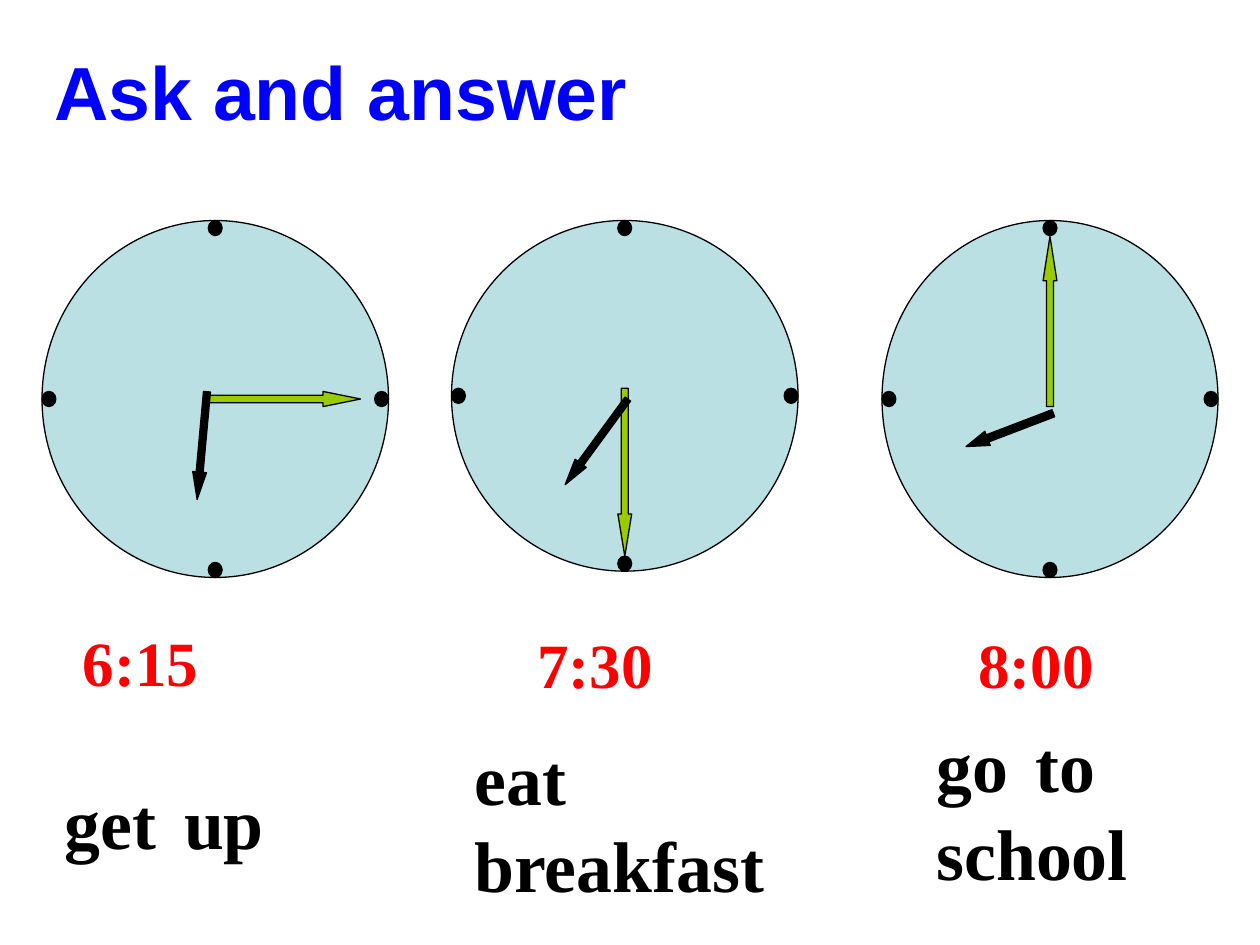
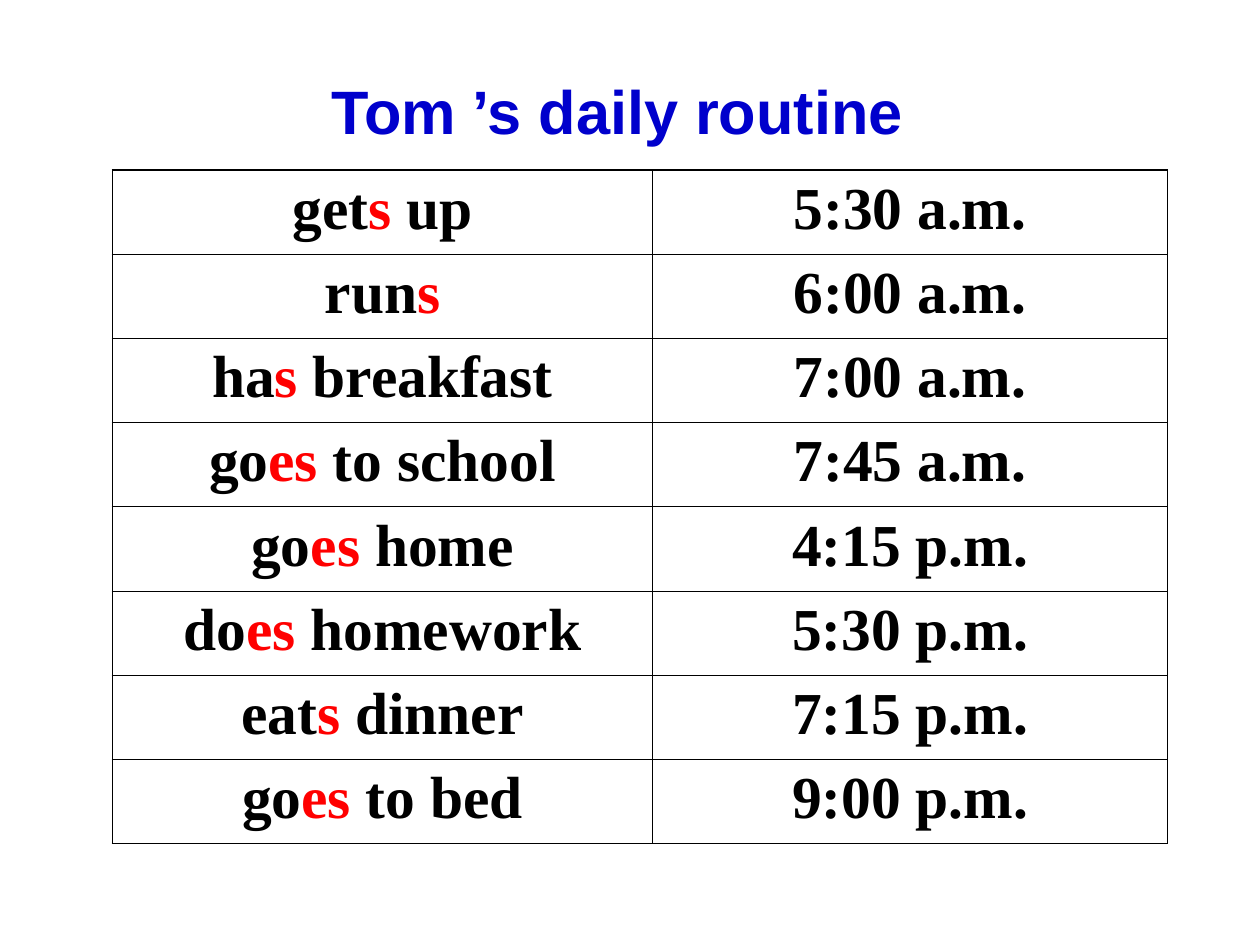
from dataclasses import dataclass
from math import cos, radians, sin
from typing import NamedTuple

from lxml.etree import SubElement
from pptx import Presentation
from pptx.dml.color import RGBColor
from pptx.enum.shapes import MSO_SHAPE
from pptx.enum.text import MSO_ANCHOR, MSO_AUTO_SIZE, PP_ALIGN
from pptx.oxml.ns import qn
from pptx.util import Inches, Pt

COLS, ROWS = 120, 90
SLIDE_W, SLIDE_H = Inches(10), Inches(7.5)
BLACK, RED, BLUE, NAVY = "000000", "FF0000", "0000FF", "0000CC"
FACE, MINUTE_FILL = "BBE0E3", "99CC00"
SERIF, SANS, COMIC = "Times New Roman", "Arial", "Comic Neue"
DOT_W, DOT_H = 1.32, 1.44
OUTER, INNER = 1.08, 0.45


class Run(NamedTuple):
    text: str
    size: float
    font: str
    color: str = BLACK


class Box(NamedTuple):
    x: float
    y: float
    w: float
    h: float


class Hand(NamedTuple):
    length: float
    thickness: float
    head: float


@dataclass
class Clock:
    hour: int
    minute: int
    face: Box
    minute_hand: Hand
    hour_hand: Hand
    hour_angle: float
    hour_offset: tuple[float, float]
    time_box: Box
    activity: str
    activity_box: Box


CLOCKS = [
    Clock(6, 15, Box(4, 21, 33, 34), Hand(14.5, 1.44, 2.48), Hand(10.3, 1.32, 1.98),
          95.2, (-1.26, 4.44), Box(6.7, 58.8, 24, 8.4), "get up", Box(5, 73, 32, 10)),
    Clock(7, 30, Box(43, 21, 33, 33.4), Hand(16, 1.32, 3.06), Hand(10.1, 1.32, 1.9),
          126.2, (-2.7, 4.38), Box(50, 59, 26, 8.4), "eat breakfast", Box(44, 68.8, 33.7, 18.2)),
    Clock(8, 0, Box(84, 21, 32, 34), Hand(16.2, 1.32, 3.19), Hand(8.9, 1.44, 1.52),
          159.1, (-3.84, 2.94), Box(92, 59, 21, 8.4), "go to school", Box(88, 67.6, 26, 18.2)),
]

ROUTINE = [
    ("get", "s", " up", "5:30 a.m."),
    ("run", "s", "", "6:00 a.m."),
    ("ha", "s", " breakfast", "7:00 a.m."),
    ("go", "es ", "to school", "7:45 a.m."),
    ("go", "es", " home", "4:15 p.m."),
    ("do", "es", " homework", "5:30 p.m."),
    ("eat", "s", " dinner", "7:15 p.m."),
    ("go", "es", " to bed", "9:00 p.m."),
]


def across(cols: float) -> int:
    return round(SLIDE_W * cols / COLS)


def down(rows: float) -> int:
    return round(SLIDE_H * rows / ROWS)


def place(box: Box) -> tuple[int, int, int, int]:
    return across(box.x), down(box.y), across(box.w), down(box.h)


def rgb(color: str) -> RGBColor:
    return RGBColor.from_string(color)


def add_runs(p, runs: list[Run]) -> None:
    for run in runs:
        r = p.add_run()
        r.text = run.text
        r.font.size = Pt(run.size)
        r.font.name = run.font
        r.font.bold = True
        r.font.color.rgb = rgb(run.color)


def add_text(s, box: Box, runs: list[Run], centered: bool = False) -> None:
    tf = s.shapes.add_textbox(*place(box)).text_frame
    tf.word_wrap = True
    p = tf.paragraphs[0]
    if centered:
        tf.vertical_anchor = MSO_ANCHOR.MIDDLE
        p.alignment = PP_ALIGN.CENTER
    else:
        tf.auto_size = MSO_AUTO_SIZE.SHAPE_TO_FIT_TEXT
    add_runs(p, runs)


def add_preset(group, kind: MSO_SHAPE, box: Box, fill: str):
    sp = group.shapes.add_shape(kind, *place(box))
    sp.shadow.inherit = False
    sp.fill.solid()
    sp.fill.fore_color.rgb = rgb(fill)
    sp.line.color.rgb = rgb(BLACK)
    sp.line.width = Pt(0.75)
    return sp


def add_hand(group, hand: Hand, cx: float, cy: float, angle: float, fill: str) -> None:
    box = Box(cx - hand.length / 2, cy - hand.thickness / 2, hand.length, hand.thickness)
    sp = add_preset(group, MSO_SHAPE.RIGHT_ARROW, box, fill)
    sp.adjustments[0] = 0.5
    sp.adjustments[1] = hand.head
    sp.rotation = angle % 360


def add_clock(s, clock: Clock) -> None:
    group = s.shapes.add_group_shape()
    x, y, w, h = clock.face
    add_preset(group, MSO_SHAPE.OVAL, clock.face, FACE)
    for fx, fy in [(0.5, 0), (1, 0.5), (0.5, 1), (0, 0.5)]:
        dot = Box(x + fx * (w - DOT_W), y + fy * (h - DOT_H), DOT_W, DOT_H)
        add_preset(group, MSO_SHAPE.OVAL, dot, BLACK)

    cx, cy = x + w / 2, y + h / 2
    angle = clock.minute * 6 - 90
    reach = clock.minute_hand.length / 2
    dx = cos(radians(angle)) * (reach - DOT_W / 2)
    dy = sin(radians(angle)) * (reach - DOT_H / 2)
    add_hand(group, clock.minute_hand, cx + dx, cy + dy, angle, MINUTE_FILL)
    hx, hy = clock.hour_offset
    add_hand(group, clock.hour_hand, cx + hx, cy + hy, clock.hour_angle, BLACK)


def activity_runs(activity: str) -> list[Run]:
    runs: list[Run] = []
    for word in activity.split():
        if runs:
            runs.append(Run(" ", 44, COMIC))
        runs.append(Run(word, 41, SERIF))
    return runs


def set_borders(cell, widths: dict[str, float]) -> None:
    tcPr = cell._tc.get_or_add_tcPr()
    for side, width in widths.items():
        ln = SubElement(tcPr, qn(f"a:ln{side}"), w=str(Pt(width)))
        fill = SubElement(ln, qn("a:solidFill"))
        SubElement(fill, qn("a:srgbClr"), val=BLACK)


def add_routine_table(s, x: float, y: float, widths: list[float], row_h: float) -> None:
    n_rows, n_cols = len(ROUTINE), len(widths)
    box = Box(x, y, sum(widths), row_h * n_rows)
    table = s.shapes.add_table(n_rows, n_cols, *place(box)).table
    table.first_row = table.horz_banding = False
    for column, width in zip(table.columns, widths):
        column.width = across(width)
    for i, (stem, ending, rest, time) in enumerate(ROUTINE):
        table.rows[i].height = down(row_h)
        action = [Run(stem, 34, SERIF), Run(ending, 34, SERIF, RED)]
        if rest:
            action.append(Run(rest, 34, SERIF))
        for j, runs in enumerate([action, [Run(time, 34, SERIF)]]):
            cell = table.cell(i, j)
            set_borders(cell, {
                "L": OUTER if j == 0 else INNER,
                "R": OUTER if j == n_cols - 1 else INNER,
                "T": OUTER if i == 0 else INNER,
                "B": OUTER if i == n_rows - 1 else INNER,
            })
            cell.fill.background()
            p = cell.text_frame.paragraphs[0]
            p.alignment = PP_ALIGN.CENTER
            add_runs(p, runs)


def build_clocks(s) -> None:
    for clock in CLOCKS:
        add_clock(s, clock)
        time = f"{clock.hour}:{clock.minute:02d}"
        add_text(s, clock.time_box, [Run(time, 36, SERIF, RED)])
        add_text(s, clock.activity_box, activity_runs(clock.activity))
    add_text(s, Box(4, 3.7, 89.3, 9.8), [Run("Ask and answer", 43, SANS, BLUE)])


def build_routine(s) -> None:
    title = [Run("Tom ’s daily routine", 35, SANS, NAVY)]
    add_text(s, Box(14.5, 5, 88.6, 11), title, centered=True)
    add_routine_table(s, 10.7, 16.2, [51.45, 49.05], 8.02)


def main() -> None:
    prs = Presentation()
    prs.slide_width, prs.slide_height = SLIDE_W, SLIDE_H
    for build in (build_clocks, build_routine):
        build(prs.slides.add_slide(prs.slide_layouts[6]))
    prs.save("out.pptx")


if __name__ == "__main__":
    main()
